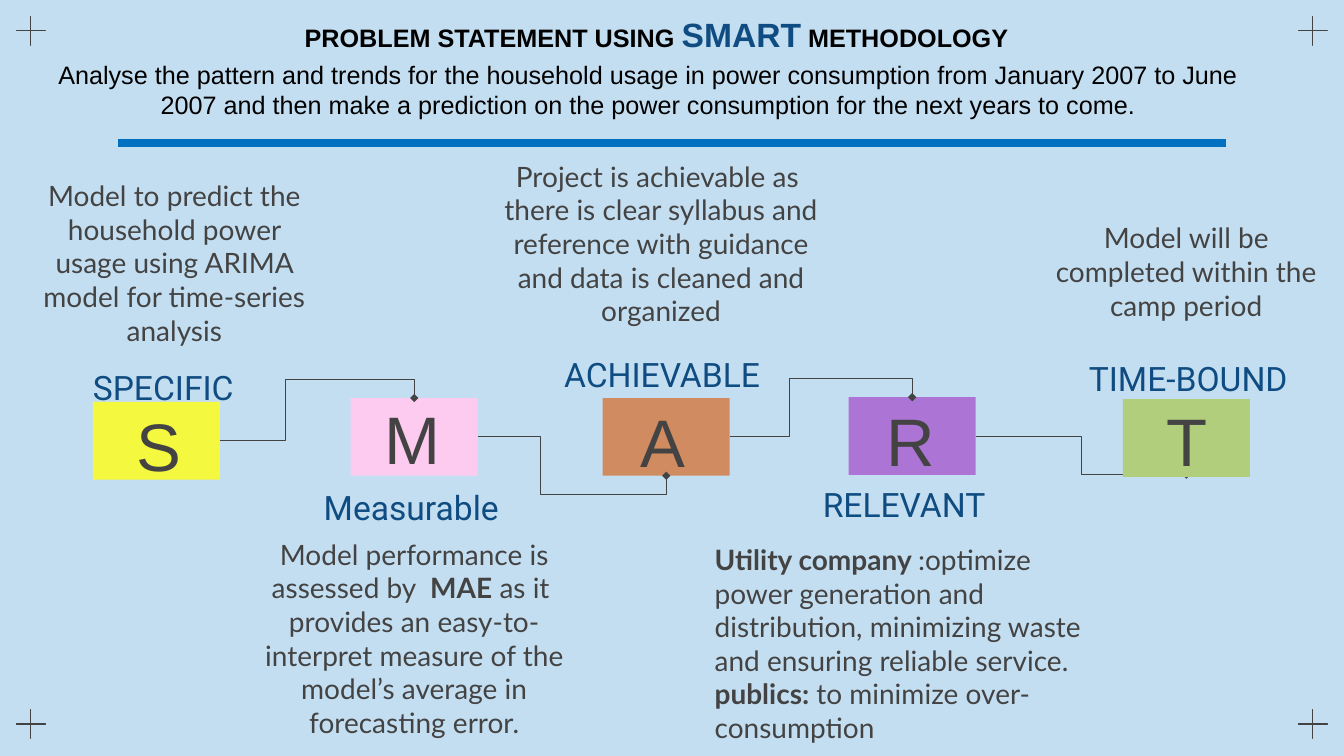
from lxml import etree
from pptx import Presentation
from pptx.dml.color import RGBColor
from pptx.enum.shapes import MSO_CONNECTOR as Connector, MSO_SHAPE as Shape
from pptx.enum.text import MSO_ANCHOR as Anchor, MSO_AUTO_SIZE as AutoSize, PP_ALIGN as Align
from pptx.oxml.ns import qn
from pptx.util import Cm, Pt

BLACK = RGBColor(0x00, 0x00, 0x00)
GREY = RGBColor(0x43, 0x43, 0x43)
NAVY = RGBColor(0x0F, 0x4C, 0x81)
BLUE = RGBColor(0x00, 0x70, 0xC0)
PALE_BLUE = RGBColor(0xC4, 0xDE, 0xF1)
YELLOW = RGBColor(0xF4, 0xF8, 0x3E)
PINK = RGBColor(0xFD, 0xCB, 0xF0)
BROWN = RGBColor(0xD0, 0x8C, 0x60)
PURPLE = RGBColor(0xAC, 0x75, 0xD5)
GREEN = RGBColor(0xB1, 0xCE, 0x7C)

# Text styles: font values and colour
TITLE = ({"name": "Arial", "size": Pt(18), "bold": True}, BLACK)
TITLE_ACCENT = ({"name": "Arial", "size": Pt(24), "bold": True}, NAVY)
INTRO = ({"name": "Arial", "size": Pt(18)}, BLACK)
HEADING = ({"name": "Roboto", "size": Pt(24)}, NAVY)
BODY = ({"name": "Lato", "size": Pt(20)}, GREY)
BODY_BOLD = ({"name": "Lato", "size": Pt(20), "bold": True}, GREY)
LETTER = ({"name": "Arial", "size": Pt(48)}, GREY)

BOX_WIDTH, BOX_HEIGHT = 3.2, 1.96
LETTER_HEIGHT = 2.21
HEADING_WIDTH, HEADING_HEIGHT = 7.47, 1.37
PLUS_SIZE = 0.99

# Letter, box colour, box place, letter place, heading, heading place, heading anchor
STEPS = [
    ("S", YELLOW, (2.34, 10.13), (2.41, 10.06), "SPECIFIC", (0.38, 8.92), Anchor.TOP),
    ("M", PINK, (8.84, 10.03), (8.79, 9.88), "Measurable", (6.63, 12.24), Anchor.BOTTOM),
    ("A", BROWN, (15.19, 10.03), (15.11, 9.96), "ACHIEVABLE", (12.95, 8.59), Anchor.TOP),
    ("R", PURPLE, (21.39, 10.01), (21.36, 9.93), "RELEVANT", (19.05, 12.17), Anchor.BOTTOM),
    ("T", GREEN, (28.3, 10.06), (28.32, 9.93), "TIME-BOUND", (26.21, 8.69), Anchor.TOP),
]

# Place and size, anchor, alignment, paragraphs of (text, style) runs
DESCRIPTIONS = [
    ((0.66, 5.89, 7.47, 3.18), Anchor.BOTTOM, Align.CENTER, [[
        ("Model to predict the household power usage using ARIMA model for "
         "time-series analysis", BODY)]]),
    ((6.2, 13.21, 8.48, 5.84), Anchor.TOP, Align.CENTER, [[
        ("Model performance is assessed by  ", BODY), ("MAE", BODY_BOLD),
        (" as it  provides an easy-to-interpret measure of the model’s average in "
         "forecasting error.", BODY)]]),
    ((11.96, 5.38, 9.4, 3.2), Anchor.BOTTOM, Align.CENTER, [[
        ("Project is achievable as  there is clear syllabus and reference with "
         "guidance and data is cleaned and organized", BODY)]]),
    ((17.68, 13.34, 10.62, 5.26), Anchor.TOP, Align.LEFT, [
        [("Utility company ", BODY_BOLD),
         (":optimize power generation and distribution, minimizing waste and "
          "ensuring reliable service.", BODY)],
        [("publics: ", BODY_BOLD), ("to minimize over-consumption", BODY)]]),
    ((26.16, 5.44, 7.47, 3), Anchor.BOTTOM, Align.CENTER, [[
        ("Model will be completed within the camp period", BODY)]]),
]


def add_text(slide, place, paragraphs, anchor=Anchor.TOP, align=Align.CENTER, inset=0.33):
    shape = slide.shapes.add_textbox(*map(Cm, place))
    frame = shape.text_frame
    frame_format = {"word_wrap": True, "vertical_anchor": anchor}
    if inset is not None:
        for side in ("left", "top", "right", "bottom"):
            frame_format[f"margin_{side}"] = Cm(inset)
    for name, value in frame_format.items():
        setattr(frame, name, value)
    for index, runs in enumerate(paragraphs):
        paragraph = frame.add_paragraph() if index else frame.paragraphs[0]
        paragraph.alignment = align
        for text, (font_format, color) in runs:
            run = paragraph.add_run()
            run.text = text
            for name, value in font_format.items():
                setattr(run.font, name, value)
            run.font.color.rgb = color
    return shape


def add_plus(slide, left, top):
    shape = slide.shapes.add_shape(
        Shape.MATH_PLUS, Cm(left), Cm(top), Cm(PLUS_SIZE), Cm(PLUS_SIZE))
    shape.adjustments[0] = 0.007
    shape.shadow.inherit = False
    shape.fill.background()
    shape.line.color.rgb = GREY
    shape.line.width = Pt(0.75)


def add_box(slide, color, place):
    shape = slide.shapes.add_shape(
        Shape.RECTANGLE, *map(Cm, place), Cm(BOX_WIDTH), Cm(BOX_HEIGHT))
    shape.shadow.inherit = False
    shape.fill.solid()
    shape.fill.fore_color.rgb = color
    shape.line.fill.background()
    return shape


def add_line(slide, kind, start, end, color, width):
    connector = slide.shapes.add_connector(kind, *map(Cm, start + end))
    connector.line.color.rgb = color
    connector.line.width = Pt(width)
    etree.SubElement(connector.element.spPr, qn("a:effectLst"))
    return connector


def add_elbow(slide, start, end, adjustments):
    connector = add_line(slide, Connector.ELBOW, start, end, GREY, 0.75)
    properties = connector.element.spPr
    etree.SubElement(properties.find(qn("a:ln")), qn("a:tailEnd"), type="diamond")
    geometry = properties.find(qn("a:prstGeom"))
    geometry.set("prst", f"bentConnector{len(adjustments) + 2}")
    guides = geometry.find(qn("a:avLst"))
    for number, value in enumerate(adjustments, 1):
        etree.SubElement(guides, qn("a:gd"), name=f"adj{number}",
                         fmla=f"val {round(value * 100000)}")
    return connector


def main():
    presentation = Presentation()
    presentation.slide_width, presentation.slide_height = Cm(33.87), Cm(19.05)
    slide = presentation.slides.add_slide(presentation.slide_layouts[6])
    slide.background.fill.solid()
    slide.background.fill.fore_color.rgb = PALE_BLUE

    # Corner marks
    for top in (0.28, 17.75):
        for left in (0.28, 32.59):
            add_plus(slide, left, top)

    # Title, introduction and rule
    title = add_text(slide, (2.36, -0.13, 28.37, 2.11), [[
        ("PROBLEM STATEMENT USING ", TITLE), ("SMART", TITLE_ACCENT),
        (" METHODOLOGY", TITLE)]])
    title.text_frame.paragraphs[0].line_spacing = 1.15
    add_text(slide, (0.58, 1.17, 31.5, 2.11), [[
        ("Analyse the pattern and trends for the household usage in power consumption "
         "from January 2007 to June 2007 and then make a prediction on the power "
         "consumption for the next years to come.", INTRO)]])
    add_line(slide, Connector.STRAIGHT, (2.97, 3.61), (30.89, 3.61), BLUE, 6)

    # Boxes and the elbows between them; the last elbow runs behind its box
    boxes = [add_box(slide, color, place) for _, color, place, *_ in STEPS[:-1]]
    elbows = [
        add_elbow(slide, (5.54, 11.13), (10.44, 10.03), (0.337, 1.442)),
        add_elbow(slide, (12.04, 11.02), (16.79, 11.99), (0.332, 1.487)),
        add_elbow(slide, (18.39, 11.02), (22.99, 10.01), (0.326, 1.471)),
        add_elbow(slide, (24.59, 10.99), (29.9, 11.96), (0.5,)),
    ]
    for elbow, box in zip(elbows, boxes):
        elbow.begin_connect(box, 3)
    for elbow, box, site in zip(elbows, boxes[1:], (0, 2, 0)):
        elbow.end_connect(box, site)
    add_box(slide, *STEPS[-1][1:3])

    # Letters and headings
    for letter, _, _, letter_place, heading, heading_place, anchor in STEPS:
        shape = add_text(slide, (*letter_place, BOX_WIDTH, LETTER_HEIGHT),
                         [[(letter, LETTER)]], inset=None)
        shape.text_frame.auto_size = AutoSize.SHAPE_TO_FIT_TEXT
        add_text(slide, (*heading_place, HEADING_WIDTH, HEADING_HEIGHT),
                 [[(heading, HEADING)]], anchor)

    # Descriptions
    for place, anchor, align, paragraphs in DESCRIPTIONS:
        add_text(slide, place, paragraphs, anchor, align)

    presentation.save("out.pptx")


if __name__ == "__main__":
    main()
